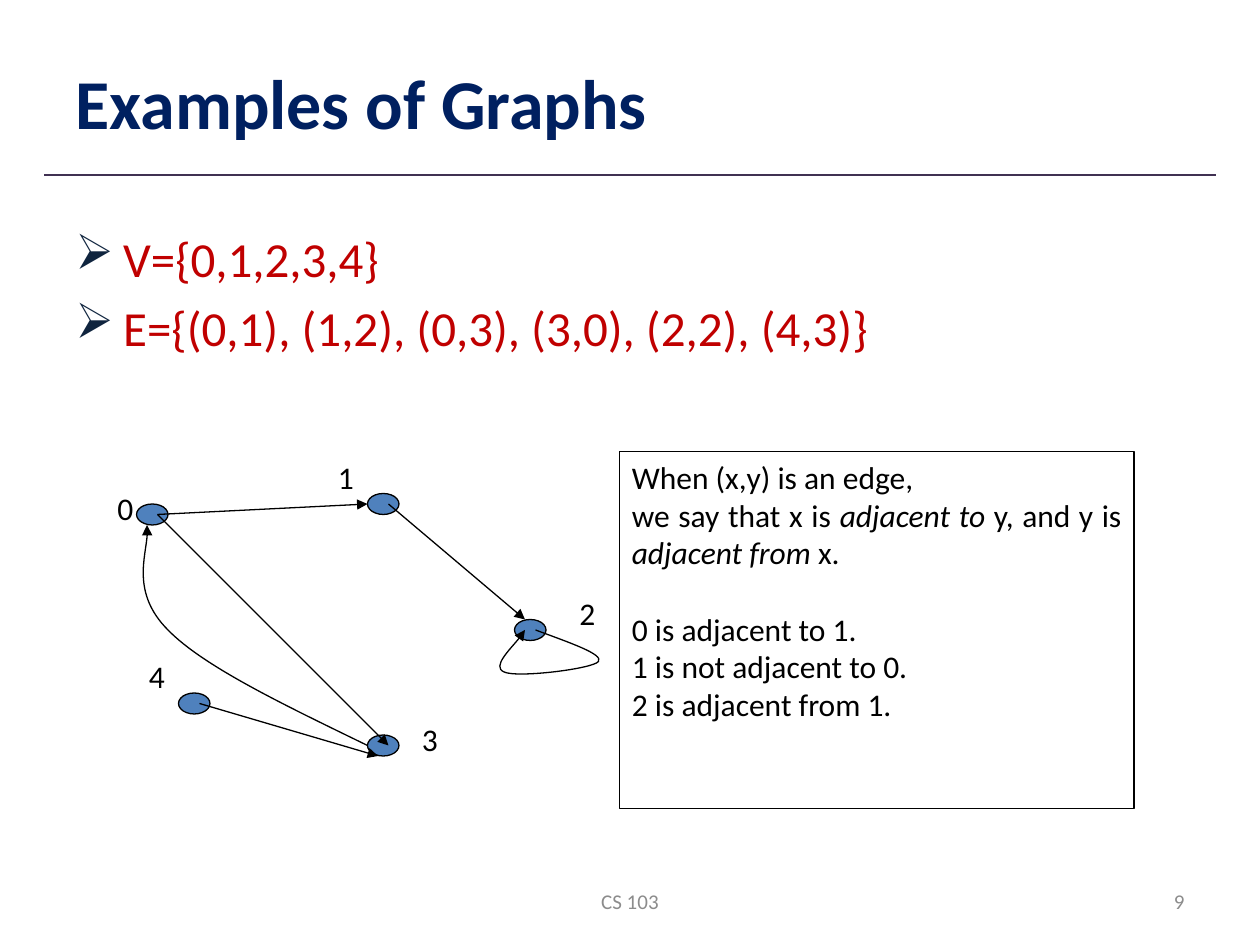
"""Build a slide that shows a directed graph with its vertices, edges and adjacency."""
from typing import NamedTuple

from lxml import etree
from pptx import Presentation
from pptx import util as u
from pptx.dml.color import RGBColor
from pptx.enum import shapes, text
from pptx.oxml.ns import qn

COLORS = {
    "title": "002060", "rule": "403152", "set": "C00000", "bullet": "0F243E",
    "node": "4F81BD", "ink": "000000", "footer": "8C8C8C",
}
FONT = "Calibri"
COLUMNS, ROWS = 120, 90
WIDTH, HEIGHT = u.Inches(10), u.Inches(7.5)
Point = tuple[float, float]


class Vertex(NamedTuple):
    """A numbered vertex: cell of its ellipse and cell of its label."""
    name: str
    corner: Point
    label: Point


class Edge(NamedTuple):
    """A straight arrow between two grid points."""
    start: Point
    end: Point


VERTICES = [
    Vertex("0", (13, 48), (10, 46)),
    Vertex("1", (35, 47), (31, 43)),
    Vertex("2", (49, 59), (54, 56)),
    Vertex("3", (35, 70), (39, 68)),
    Vertex("4", (17, 66), (13, 62)),
]
EDGES = [
    Edge((15, 49), (35, 48)),
    Edge((37, 48), (50, 59)),
    Edge((15, 49), (37, 71)),
    Edge((19, 67), (36, 72)),
]
CURVES = [
    [(51, 60), (54.2, 61.2), (57.5, 62.3), (57, 63), (56.5, 63.7),
     (49.2, 64.6), (48, 64), (46.8, 63.5), (49.7, 60.7), (50, 60)],
    [(35, 71), (27.2, 67.2), (19.4, 63.5), (16, 60), (12.5, 56.5),
     (14.3, 51.7), (14, 50)],
]
SETS = ["V={0,1,2,3,4}", "E={(0,1), (1,2), (0,3), (3,0), (2,2), (4,3)}"]
ADJACENCY = [
    ["When (x,y) is an edge,"],
    ["we say that x is ", "adjacent to", " y, and y is ", "adjacent from", " x."],
    ["0 is adjacent to 1."],
    ["1 is not adjacent to 0."],
    ["2 is adjacent from 1."],
]


def x(column: float) -> int:
    """Return the offset of a grid column."""
    return round(WIDTH * column / COLUMNS)


def y(row: float) -> int:
    """Return the offset of a grid row."""
    return round(HEIGHT * row / ROWS)


def color(name: str) -> RGBColor:
    """Return a palette colour."""
    return RGBColor.from_string(COLORS[name])


def style(paragraph, size: float, ink: str, bold: bool = False) -> None:
    """Format every run of a paragraph."""
    for run in paragraph.runs:
        run.font.name, run.font.size, run.font.bold = FONT, u.Pt(size), bold
        run.font.color.rgb = color(ink)


def outline(line, ink: str = "ink", width: float = 0.75) -> None:
    """Give a line its colour and width."""
    line.color.rgb, line.width = color(ink), u.Pt(width)


def add_arrowhead(line) -> None:
    """Put a triangle at the end of a line."""
    etree.SubElement(line._get_or_add_ln(), qn("a:tailEnd"), type="triangle")


def add_box(slide, corner: Point, size: Point, wrap: bool = True):
    """Add an empty text box on the grid."""
    box = slide.shapes.add_textbox(x(corner[0]), y(corner[1]), x(size[0]), y(size[1]))
    box.text_frame.word_wrap = wrap
    return box


def add_line(slide, edge: Edge, ink: str = "ink", width: float = 0.75):
    """Add a straight line without shadow."""
    connector = slide.shapes.add_connector(
        shapes.MSO_CONNECTOR.STRAIGHT,
        x(edge.start[0]), y(edge.start[1]), x(edge.end[0]), y(edge.end[1]))
    outline(connector.line, ink, width)
    etree.SubElement(connector._element.spPr, qn("a:effectLst"))
    return connector


def add_vertex(slide, vertex: Vertex) -> None:
    """Add the ellipse and the number of a vertex."""
    ellipse = slide.shapes.add_shape(
        shapes.MSO_SHAPE.OVAL, x(vertex.corner[0]), y(vertex.corner[1]), x(3), y(2))
    ellipse.shadow.inherit = False
    ellipse.fill.solid()
    ellipse.fill.fore_color.rgb = color("node")
    outline(ellipse.line)
    label = add_box(slide, vertex.label, (4.4, 6), wrap=False)
    label.text_frame.text = vertex.name
    style(label.text_frame.paragraphs[0], 18, "ink")


def add_curve(slide, points: list[Point]) -> None:
    """Add an arrow of cubic curves, three points to each curve."""
    places = [(x(column), y(row)) for column, row in points]
    builder = slide.shapes.build_freeform(*places[0])
    builder.add_line_segments(places[1:], close=False)
    curve = builder.convert_to_shape()
    curve.shadow.inherit = False
    curve.fill.background()
    outline(curve.line)
    add_arrowhead(curve.line)
    segments = list(curve._element.iter(qn("a:lnTo")))
    for first in range(0, len(segments), 3):
        trio = segments[first:first + 3]
        bezier = etree.Element(qn("a:cubicBezTo"))
        trio[0].addprevious(bezier)
        for segment in trio:
            bezier.append(segment[0])
            segment.getparent().remove(segment)


def add_title(slide) -> None:
    """Place and format the title and the rule below it."""
    title = slide.shapes.title
    title.left, title.top, title.width, title.height = x(6), y(3.6), x(108), y(12.1)
    title.text_frame.text = "Examples of Graphs"
    title.text_frame.vertical_anchor = text.MSO_ANCHOR.MIDDLE
    heading = title.text_frame.paragraphs[0]
    heading.alignment = text.PP_ALIGN.LEFT
    style(heading, 40, "title", bold=True)
    add_line(slide, Edge((4.2, 16.7), (115.8, 16.7)), "rule", 1)


def add_sets(slide) -> None:
    """Add the bulleted vertex and edge sets."""
    frame = add_box(slide, (6, 17.6), (108, 62.8)).text_frame
    frame.margin_top = y(4.2)
    frame.text = "\n".join(SETS)
    for index, paragraph in enumerate(frame.paragraphs):
        style(paragraph, 28, "set")
        paragraph.space_before = u.Pt(5.6 if index else 0)
        properties = paragraph._p.get_or_add_pPr()
        properties.set("marL", str(u.Inches(0.38)))
        properties.set("indent", str(-u.Inches(0.38)))
        tint = etree.SubElement(properties, qn("a:buClr"))
        etree.SubElement(tint, qn("a:srgbClr"), val=COLORS["bullet"])
        etree.SubElement(properties, qn("a:buChar"), char="➢")


def add_adjacency(slide) -> None:
    """Add the framed explanation, with every second run in italics."""
    box = add_box(slide, (59, 43), (49, 34))
    outline(box.line)
    frame = box.text_frame
    for index, parts in enumerate(ADJACENCY):
        paragraph = frame.add_paragraph() if index else frame.paragraphs[0]
        paragraph.alignment = text.PP_ALIGN.JUSTIFY
        for position, part in enumerate(parts):
            run = paragraph.add_run()
            run.text, run.font.italic = part, position % 2 == 1
        style(paragraph, 18, "ink")
    frame.paragraphs[2].space_before = u.Pt(22)


def add_footer(slide, words: str, left: float, width: float, alignment) -> None:
    """Add one footer entry."""
    frame = add_box(slide, (left, 83.4), (width, 4.8)).text_frame
    frame.vertical_anchor = text.MSO_ANCHOR.MIDDLE
    frame.text = words
    frame.paragraphs[0].alignment = alignment
    style(frame.paragraphs[0], 12, "footer")


def main() -> None:
    """Build and save the slide."""
    deck = Presentation()
    deck.slide_width, deck.slide_height = WIDTH, HEIGHT
    slide = deck.slides.add_slide(deck.slide_layouts[5])
    add_title(slide)
    add_footer(slide, "CS 103", 41, 38, text.PP_ALIGN.CENTER)
    add_footer(slide, "9", 86, 28, text.PP_ALIGN.RIGHT)
    add_sets(slide)
    for vertex in VERTICES:
        add_vertex(slide, vertex)
    for edge in EDGES:
        add_arrowhead(add_line(slide, edge).line)
    for points in CURVES:
        add_curve(slide, points)
    add_adjacency(slide)
    deck.save("out.pptx")


if __name__ == "__main__":
    main()
